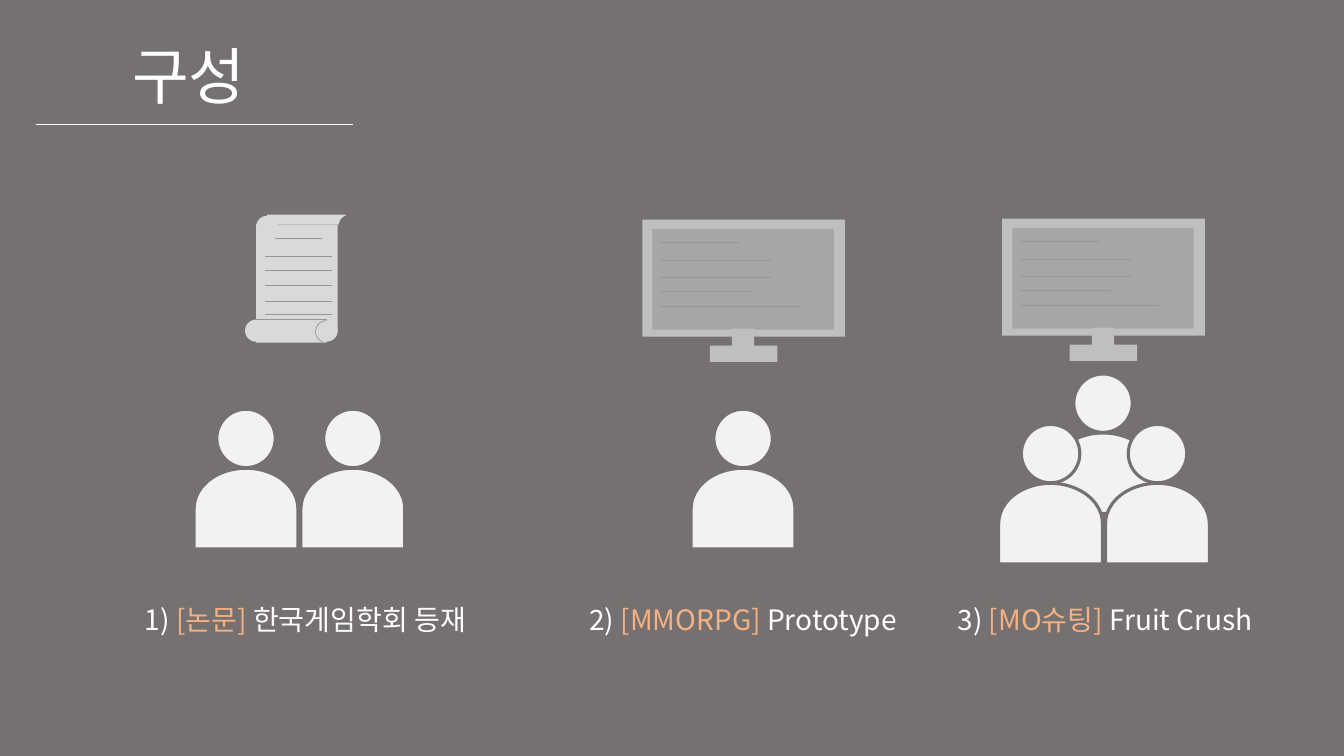
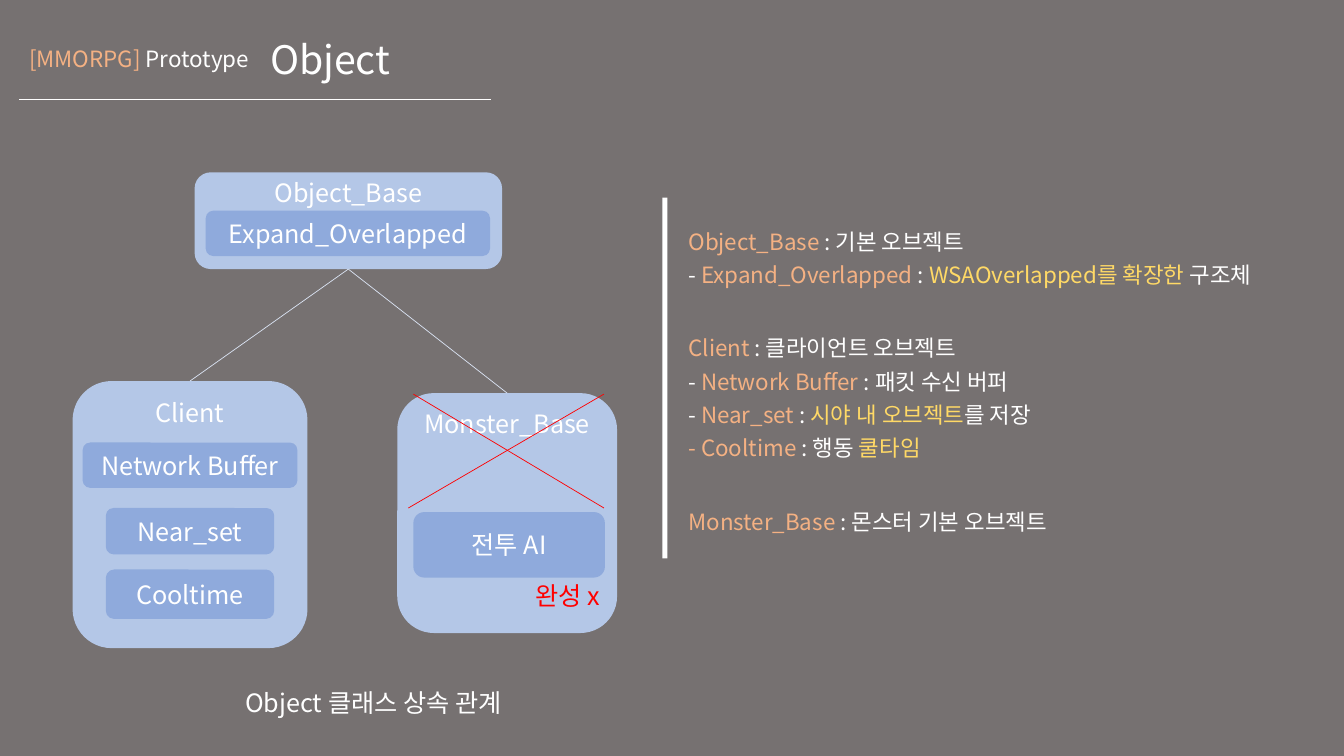
from lxml import etree
from pptx import Presentation
from pptx.dml.color import RGBColor
from pptx.enum.shapes import MSO_CONNECTOR, MSO_SHAPE
from pptx.enum.text import MSO_ANCHOR, MSO_AUTO_SIZE, PP_ALIGN
from pptx.oxml.ns import qn
from pptx.util import Inches, Pt

RECT = MSO_SHAPE.RECTANGLE
ROUND = MSO_SHAPE.ROUNDED_RECTANGLE
ELLIPSE = MSO_SHAPE.OVAL
DELAY = MSO_SHAPE.FLOWCHART_DELAY
ARC = MSO_SHAPE.ARC
STRAIGHT = MSO_CONNECTOR.STRAIGHT
LEFT, CENTER = PP_ALIGN.LEFT, PP_ALIGN.CENTER
TOP, MIDDLE = MSO_ANCHOR.TOP, MSO_ANCHOR.MIDDLE
NO_FIT = MSO_AUTO_SIZE.NONE
TITLE_ONLY = 5

FONT = "Noto Sans CJK KR"
BACKGROUND = "767171"
WHITE = "FFFFFF"
ORANGE = "F4B183"
YELLOW = "FFD966"
RED = "FF0000"
PERSON = "F2F2F2"
PAPER = "D9D9D9"
INK = "969696"
FRAME = "BFBFBF"
SCREEN = "A6A6A6"
CLASS_FILL = "B4C7E7"
MEMBER_FILL = "8FAADC"
BRANCH = "DAE3F3"


def rgb(value):
    return RGBColor.from_string(value)


def write(paragraph, parts, size, color=WHITE, align=LEFT, spacing=None):
    paragraph.alignment = align
    if spacing:
        paragraph.line_spacing = spacing
    for part in parts:
        text, accent = (part, None) if isinstance(part, str) else part
        run = paragraph.add_run()
        run.text = text
        if accent:
            run.font.color.rgb = rgb(accent)
    font = paragraph.font
    font.size = Pt(size)
    font.color.rgb = rgb(color)
    font.name = FONT
    defaults = paragraph._p.pPr.find(qn("a:defRPr"))
    etree.SubElement(defaults, qn("a:ea")).set("typeface", FONT)


def add_shape(shapes, kind, box, fill=None, line=None, weight=0.5):
    shape = shapes.add_shape(kind, *map(Inches, box))
    shape.shadow.inherit = False
    if fill:
        shape.fill.solid()
        shape.fill.fore_color.rgb = rgb(fill)
    else:
        shape.fill.background()
    if line:
        shape.line.color.rgb = rgb(line)
        shape.line.width = Pt(weight)
    else:
        shape.line.fill.background()
    return shape


def add_line(shapes, x1, y1, x2, y2, color):
    line = shapes.add_connector(STRAIGHT, *map(Inches, (x1, y1, x2, y2)))
    line.line.color.rgb = rgb(color)
    line.line.width = Pt(0.5)
    etree.SubElement(line._element.spPr, qn("a:effectLst"))
    return line


def add_text(slide, box, parts, size, color=WHITE, align=CENTER, anchor=TOP):
    frame = slide.shapes.add_textbox(*map(Inches, box)).text_frame
    frame.word_wrap = True
    frame.vertical_anchor = anchor
    write(frame.paragraphs[0], parts, size, color, align)


def add_header(slide, text, box, size, rule):
    title = slide.shapes.title
    title.left, title.top, title.width, title.height = map(Inches, box)
    frame = title.text_frame
    frame.auto_size = NO_FIT
    frame.vertical_anchor = MIDDLE
    write(frame.paragraphs[0], [text], size, spacing=0.9)
    left, right, y = rule
    add_line(slide.shapes, right, y, left, y, WHITE)


def add_person(slide, left, top):
    shapes = slide.shapes.add_group_shape().shapes
    body = add_shape(shapes, DELAY, (left + 0.12, top + 0.47, 0.8, 1.03),
                     PERSON, BACKGROUND, 2.25)
    body.rotation = 270
    add_shape(shapes, ELLIPSE, (left + 0.23, top, 0.58, 0.58),
              PERSON, BACKGROUND, 2.25)


def add_monitor(slide, left, top):
    shapes = slide.shapes.add_group_shape().shapes
    add_shape(shapes, RECT, (left, top, 2.01, 1.16), FRAME)
    add_shape(shapes, RECT, (left + 0.1, top + 0.09, 1.8, 1), SCREEN)
    for y, length in ((0.22, 0.78), (0.4, 1.1), (0.57, 1.1),
                      (0.71, 0.9), (0.86, 1.38)):
        add_line(shapes, left + 0.18, top + y, left + 0.18 + length, top + y, INK)
    add_shape(shapes, RECT, (left + 0.67, top + 1.25, 0.67, 0.16), FRAME)
    add_shape(shapes, RECT, (left + 0.89, top + 1.08, 0.22, 0.33), FRAME)


def add_scroll(slide, left, top):
    shapes = slide.shapes.add_group_shape().shapes
    curl = 0.22
    for x, y, width, height in ((0.11, 0.1, 0.81, 1.06), (0.11, 1.11, 0.7, 0.16),
                                (0.22, 0, 0.78, 0.1)):
        add_shape(shapes, RECT, (left + x, top + y, width, height), PAPER)
    for x, y, fill in ((0.11, 0.01, PAPER), (0.7, 1.04, PAPER),
                       (0, 1.04, PAPER), (0.93, 0, BACKGROUND)):
        add_shape(shapes, ELLIPSE, (left + x, top + y, curl, curl), fill)
    edge = add_shape(shapes, ARC, (left + 0.7, top + 1.05, curl, curl), line=INK)
    for index, degrees in enumerate((110, 270)):
        edge.adjustments[index] = degrees * 0.6
    for x, y, length in ((0.11, 1.04, 0.7), (0.3, 0.23, 0.46), (0.2, 0.41, 0.66),
                         (0.2, 0.55, 0.66), (0.2, 0.7, 0.66), (0.2, 0.86, 0.66),
                         (0.2, 0.99, 0.66)):
        add_line(shapes, left + x, top + y, left + x + length, top + y, INK)


def add_class_box(slide, box, name, members=(), inset=0.05):
    left, top = box[:2]
    card = add_shape(slide.shapes, ROUND, box, CLASS_FILL)
    frame = card.text_frame
    frame.vertical_anchor = TOP
    frame.margin_top = Inches(inset)
    write(frame.paragraphs[0], [name], 18, align=CENTER)
    for label, x, y, width, height in members:
        member = add_shape(slide.shapes, ROUND,
                           (left + x, top + y, width, height), MEMBER_FILL)
        member.text_frame.vertical_anchor = MIDDLE
        write(member.text_frame.paragraphs[0], [label], 18, align=CENTER)
    return card


def add_branch(slide, parent, child):
    branch = add_line(slide.shapes, 0, 0, 1, 1, BRANCH)
    branch.begin_connect(parent, 2)
    branch.end_connect(child, 0)


def add_cross(slide, left, top, width, height):
    right, bottom = left + width, top + height
    add_line(slide.shapes, left, top, right, bottom, RED)
    add_line(slide.shapes, left - 0.05, bottom, right, top, RED)


def add_glossary(slide, left, top, width, height, groups):
    add_shape(slide.shapes, RECT, (left, top, 0.05, height), WHITE)
    box = (left + 0.16, top, width - 0.16, height)
    frame = slide.shapes.add_textbox(*map(Inches, box)).text_frame
    frame.word_wrap = True
    frame.vertical_anchor = MIDDLE
    paragraph = frame.paragraphs[0]
    for number, group in enumerate(groups):
        for row, parts in enumerate(group):
            if number or row:
                paragraph = frame.add_paragraph()
            if number and not row:
                paragraph.space_before = Pt(28.7)
            write(paragraph, parts, 16, spacing=1.24)


def build_overview(slide):
    add_header(slide, "구성", (1.21, 0.34, 1.44, 0.89), 44, (0.36, 3.5, 1.23))
    add_scroll(slide, 2.43, 2.13)
    add_monitor(slide, 6.37, 2.18)
    add_monitor(slide, 9.94, 2.17)
    for left, top in ((1.92, 4.06), (2.98, 4.06), (6.85, 4.06),
                      (10.42, 3.71), (9.9, 4.21), (10.96, 4.21)):
        add_person(slide, left, top)
    captions = (
        (1.09, 3.88, "1) ", "[논문] ", "한국게임학회 등재"),
        (5.43, 3.88, "2) ", "[MMORPG] ", "Prototype"),
        (9.25, 3.42, "3) ", "[MO슈팅] ", "Fruit Crush"),
    )
    for left, width, number, genre, name in captions:
        add_text(slide, (left, 5.93, width, 0.44),
                 [number, (genre, ORANGE), name], 20)


def build_object_classes(slide):
    add_header(slide, "Object", (2.58, 0.17, 5.2, 0.89), 28, (0.19, 4.87, 0.99))
    add_text(slide, (0.19, 0.4, 2.98, 0.37),
             [("[MMORPG] ", ORANGE), "Prototype"], 16, align=LEFT)

    base = add_class_box(slide, (1.93, 1.71, 3.05, 0.96), "Object_Base",
                         [("Expand_Overlapped", 0.11, 0.38, 2.82, 0.45)], inset=0)
    client = add_class_box(slide, (0.72, 3.78, 2.33, 2.65), "Client", [
        ("Network Buffer", 0.1, 0.61, 2.13, 0.45),
        ("Near_set", 0.33, 1.26, 1.67, 0.46),
        ("Cooltime", 0.33, 1.87, 1.67, 0.49),
    ])
    monster = add_class_box(slide, (3.94, 3.9, 2.18, 2.38), "Monster_Base",
                            [("전투 AI", 0.16, 1.18, 1.9, 0.65)])
    for child in (client, monster):
        add_branch(slide, base, child)
    add_cross(slide, 4.1, 3.91, 1.89, 1.13)
    add_text(slide, (4.74, 5.71, 1.78, 0.4), ["완성 x"], 18, RED)
    add_text(slide, (2.06, 6.68, 3.29, 0.57), ["Object 클래스 상속 관계"], 18,
             anchor=MIDDLE)

    add_glossary(slide, 6.57, 1.96, 6.31, 3.58, [
        [
            [("Object_Base ", ORANGE), ": 기본 오브젝트"],
            ["-", (" Expand_Overlapped ", ORANGE), ": ",
             ("WSAOverlapped를 확장한 ", YELLOW), "구조체"],
        ],
        [
            [("Client ", ORANGE), ": 클라이언트 오브젝트"],
            ["- ", ("Network Buffer", ORANGE), " : 패킷 수신 버퍼"],
            ["- ", ("Near_set ", ORANGE), ": ",
             ("시야 내 오브젝트", YELLOW), "를 저장"],
            [("- Cooltime ", ORANGE), ": 행동 ", ("쿨타임", YELLOW)],
        ],
        [
            [("Monster_Base ", ORANGE), ": 몬스터 기본 오브젝트"],
        ],
    ])


def main():
    deck = Presentation()
    deck.slide_width, deck.slide_height = Inches(13.33), Inches(7.5)
    backdrop = deck.slide_master.background.fill
    backdrop.solid()
    backdrop.fore_color.rgb = rgb(BACKGROUND)
    for build in (build_overview, build_object_classes):
        build(deck.slides.add_slide(deck.slide_layouts[TITLE_ONLY]))
    deck.save("out.pptx")


if __name__ == "__main__":
    main()
